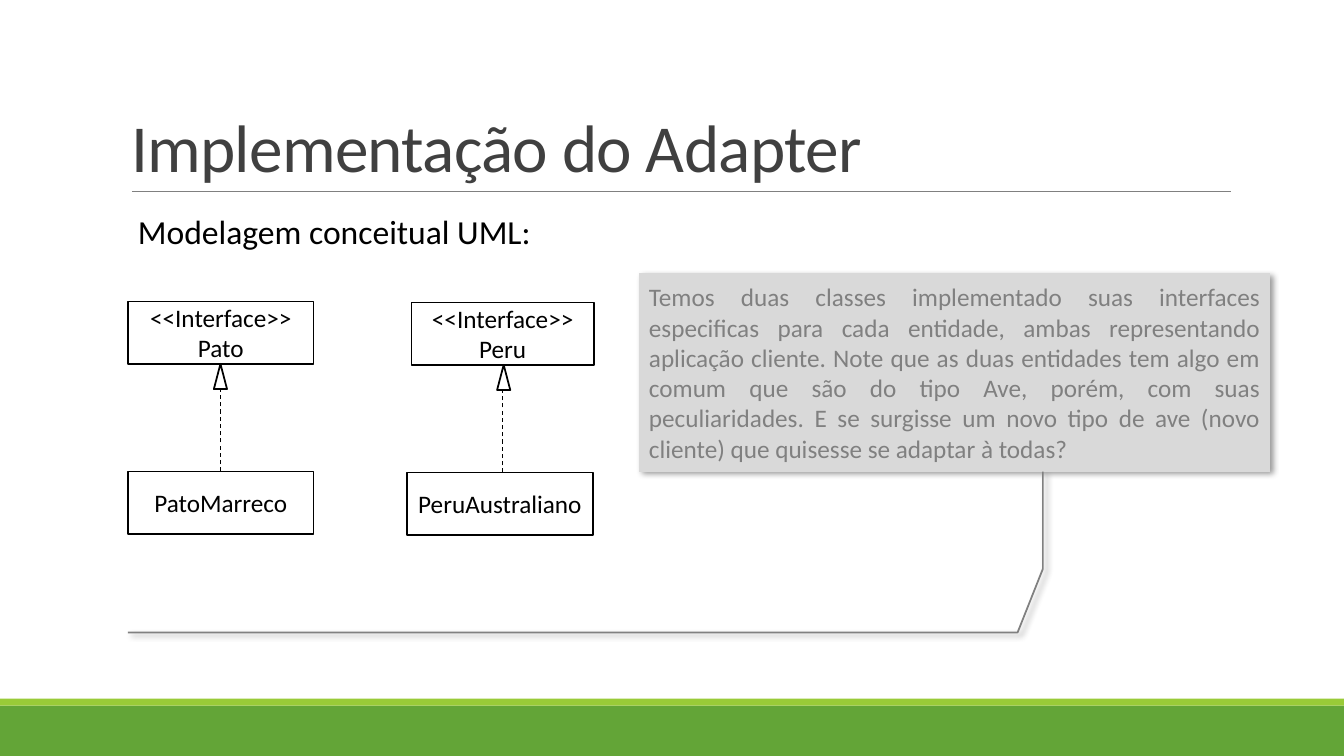
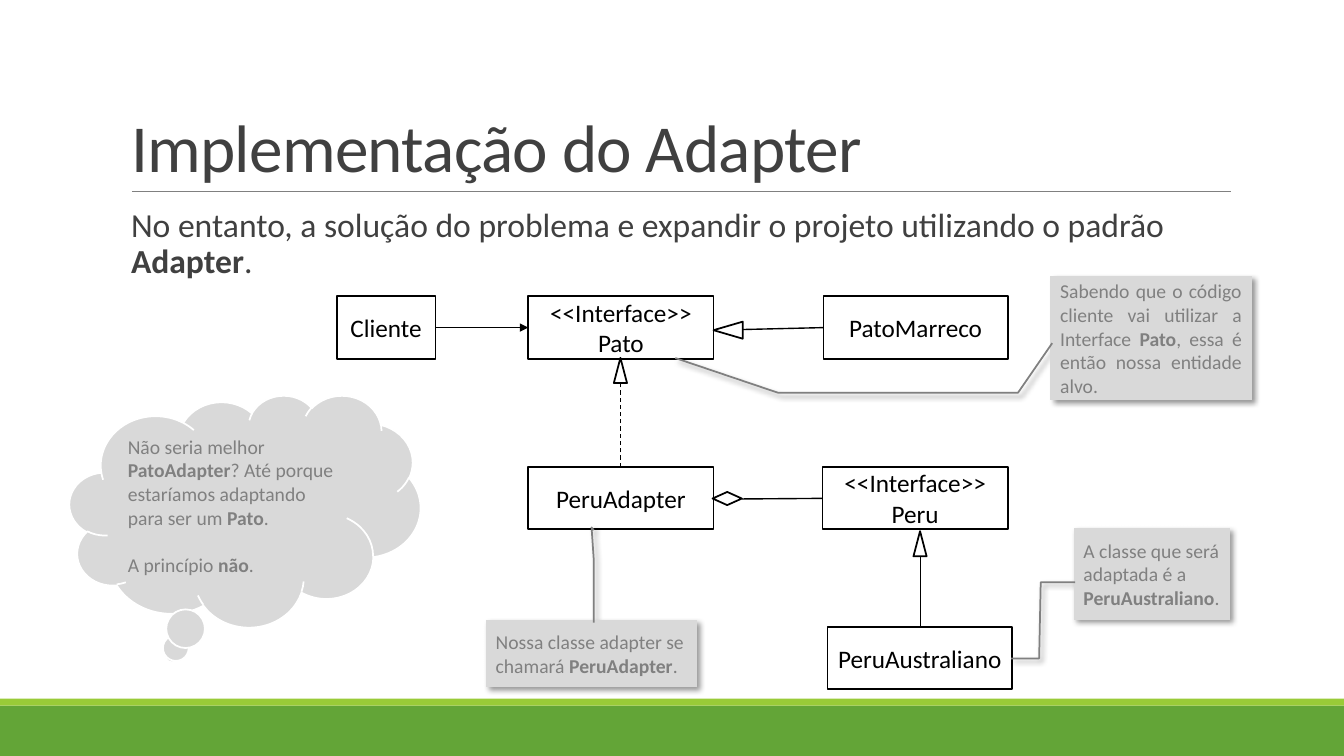
from lxml.etree import SubElement
from pptx import Presentation
from pptx.dml.color import RGBColor
from pptx.enum.dml import MSO_LINE
from pptx.enum.shapes import MSO_CONNECTOR, MSO_SHAPE
from pptx.enum.text import MSO_ANCHOR as ANCHOR, MSO_AUTO_SIZE as FIT, PP_ALIGN as ALIGN
from pptx.oxml.ns import qn
from pptx.util import Pt

COLORS = {"band": "63A537", "strip": "99CB38", "title": "404040", "gray": "808080",
          "note": "D9D9D9", "black": "000000", "white": "FFFFFF"}
RGB = {name: RGBColor.from_string(value) for name, value in COLORS.items()}
FONT = "Calibri"


def write(frame, lines, size, color, align=None):
    """Fill a frame, one paragraph per line; ** marks bold parts."""
    frame.word_wrap = True
    for number, line in enumerate(lines):
        para = frame.paragraphs[0] if number == 0 else frame.add_paragraph()
        para.alignment = align
        for index, part in enumerate(line.split("**")):
            span = para.add_run()
            span.text = part
            span.font.name = FONT
            span.font.size = Pt(size)
            span.font.bold = index % 2 == 1
            span.font.color.rgb = RGB[color]


def add_box(page, kind, place, fill, line=None):
    """Add a flat shape, with an outline if a line colour is given."""
    box = page.shapes.add_shape(kind, *map(Pt, place))
    box.shadow.inherit = False
    box.fill.solid()
    box.fill.fore_color.rgb = RGB[fill]
    if line:
        box.line.color.rgb = RGB[line]
        box.line.width = Pt(1.25)
    else:
        box.line.fill.background()
    box.text_frame.vertical_anchor = ANCHOR.MIDDLE
    return box


TRIANGLE, DIAMOND = MSO_SHAPE.ISOSCELES_TRIANGLE, MSO_SHAPE.FLOWCHART_DECISION
RULE = (94.3, 136.8, 879.1, 136.8, "gray", 0.5, None)

# Diagram parts: nodes (place, lines), links (from, to, colour, width, style),
# heads (kind, place, rotation), notes (place, bends, size, alignment, text)
DIAGRAMS = [
    {
        "layout": 5,
        "nodes": [
            ((91.5, 215.3, 132.5, 44.6), ["<<Interface>>", "Pato"]),
            ((293.9, 216, 130.3, 44.6), ["<<Interface>>", "Peru"]),
            ((91.5, 336.7, 132.5, 44.6), ["PatoMarreco"]),
            ((290.9, 337.5, 132.5, 44.6), ["PeruAustraliano"]),
        ],
        "links": [
            (157.6, 336.7, 157.6, 259.9, "black", 0.75, "dash"),
            (359.1, 337.5, 359.1, 260.6, "black", 0.75, "dash"),
        ],
        "heads": [
            (TRIANGLE, (152.8, 259.9, 9.4, 18), 0),
            (TRIANGLE, (355.1, 260.6, 9.4, 18), 0),
        ],
        "notes": [
            ((456.5, 195.1, 450.7, 141.8),
             (1.81, -0.81, 1.81, 0.6, 1.49, 0.64, 1, 0.64), 18, ALIGN.JUSTIFY,
             "Temos duas classes implementado suas interfaces especificas para cada "
             "entidade, ambas representando aplicação cliente. Note que as duas entidades "
             "tem algo em comum que são do tipo Ave, porém, com suas peculiaridades. E se "
             "surgisse um novo tipo de ave (novo cliente) que quisesse se adaptar à todas?"),
        ],
    },
    {
        "layout": 1,
        "nodes": [
            ((377.3, 211.7, 132.5, 44.6), ["<<Interface>>", "Pato"]),
            ((240.5, 211.7, 70.6, 44.6), ["Cliente"]),
            ((377.3, 333.4, 132.5, 44.6), ["PeruAdapter"]),
            ((591.1, 447.8, 131.8, 44.6), ["PeruAustraliano"]),
            ((587.5, 333.4, 132.5, 44.6), ["<<Interface>>", "Peru"]),
            ((588.2, 211.7, 131.8, 44.6), ["PatoMarreco"]),
        ],
        "links": [
            (443.5, 333.4, 443.5, 255.6, "black", 0.75, "dash"),
            (311, 234, 377.3, 234, "black", 1, "arrow"),
            (530, 356.4, 587.5, 356, "black", 1, None),
            (657.4, 447.8, 657.4, 397.4, "black", 1, None),
            (588.2, 234, 530, 235.4, "black", 1, None),
        ],
        "heads": [
            (TRIANGLE, (438.5, 255.6, 9.4, 18), 0),
            (DIAMOND, (509, 351.4, 20.9, 9.4), 0),
            (TRIANGLE, (652.5, 379.4, 9.4, 18), 0),
            (TRIANGLE, (514, 225.4, 12.2, 20.9), 270),
        ],
        "notes": [
            ((750.2, 197.3, 144, 88.6),
             (0.66, -1.86, 0.94, -1.35, 0.94, -0.16, 0.54, 0.01), 14, ALIGN.JUSTIFY,
             "Sabendo que o código cliente vai utilizar a Interface **Pato**, essa é "
             "então nossa entidade alvo."),
            ((766.8, 377.3, 111.6, 65.5),
             (1.42, -0.4, 1.42, -0.22, 0.59, -0.21, 0.59, 0.01), 14, ALIGN.LEFT,
             "A classe que será adaptada é a **PeruAustraliano**."),
            ((347, 442.8, 151.2, 48.2),
             (-1.33, 0.51, -1.37, 0.5, -0.91, 0.51, 0.04, 0.51), 14, ALIGN.LEFT,
             "Nossa classe adapter se chamará **PeruAdapter**."),
        ],
    },
]

deck = Presentation()
deck.slide_width, deck.slide_height = Pt(960), Pt(540)

for diagram in DIAGRAMS:
    page = deck.slides.add_slide(deck.slide_layouts[diagram["layout"]])

    # Bands at the foot
    add_box(page, MSO_SHAPE.RECTANGLE, (0, 504, 960, 36), "band")
    add_box(page, MSO_SHAPE.RECTANGLE, (0, 499, 960, 5), "strip")

    # Title
    title = page.shapes.title
    title.left, title.top, title.width, title.height = map(Pt, (86.4, 22.3, 792, 114.5))
    frame = title.text_frame
    frame.auto_size = FIT.NONE
    frame.vertical_anchor = ANCHOR.BOTTOM
    write(frame, ["Implementação do Adapter"], 48, "title", ALIGN.LEFT)
    frame.paragraphs[0].line_spacing = 0.85
    title.element.find(".//" + qn("a:rPr")).set("spc", "-50")

    # Title rule and links
    for x1, y1, x2, y2, color, width, style in [RULE] + diagram["links"]:
        link = page.shapes.add_connector(MSO_CONNECTOR.STRAIGHT, *map(Pt, (x1, y1, x2, y2)))
        link.line.color.rgb = RGB[color]
        link.line.width = Pt(width)
        properties = link.element.spPr
        if style == "dash":
            link.line.dash_style = MSO_LINE.DASH
        elif style == "arrow":
            SubElement(properties.find(qn("a:ln")), qn("a:tailEnd"), type="triangle")
        SubElement(properties, qn("a:effectLst"))

    # Classes and interfaces
    for place, lines in diagram["nodes"]:
        node = add_box(page, MSO_SHAPE.RECTANGLE, place, "white", "black")
        write(node.text_frame, lines, 18, "black", ALIGN.CENTER)

    # UML heads
    for kind, place, rotation in diagram["heads"]:
        add_box(page, kind, place, "white", "black").rotation = rotation

    # Notes with a bent leader and a soft shadow
    for place, bends, size, align, text in diagram["notes"]:
        note = add_box(page, MSO_SHAPE.LINE_CALLOUT_3_NO_BORDER, place, "note", "gray")
        for index, bend in enumerate(bends):
            note.adjustments[index] = bend
        write(note.text_frame, [text], size, "gray", align)
        effects = note.element.spPr.find(qn("a:effectLst"))
        shadow = SubElement(effects, qn("a:outerShdw"), blurRad=str(Pt(4)),
                            dist=str(Pt(3)), dir="2700000", algn="tl", rotWithShape="0")
        shade = SubElement(shadow, qn("a:srgbClr"), val=COLORS["black"])
        SubElement(shade, qn("a:alpha"), val="40000")

first, second = deck.slides

# Slide 1: heading of the model
heading = first.shapes.add_textbox(*map(Pt, (91.4, 146.9, 303, 36)))
write(heading.text_frame, ["Modelagem conceitual UML:"], 24, "black")

# Slide 2: introduction
body = second.placeholders[1]
body.left, body.top, body.width, body.height = map(Pt, (86.4, 145.4, 792, 316.8))
frame = body.text_frame
frame.auto_size = FIT.NONE
frame.margin_left = frame.margin_right = 0
write(frame, ["No entanto, a solução do problema e expandir o projeto utilizando o padrão "
              "**Adapter**."], 24, "title", ALIGN.LEFT)
para = frame.paragraphs[0]
para.line_spacing, para.space_before, para.space_after = 0.9, Pt(12), Pt(2)
settings = body.element.find(".//" + qn("a:pPr"))
settings.set("marL", str(Pt(7.2)))
settings.set("indent", str(-Pt(7.2)))
SubElement(SubElement(settings, qn("a:buClr")), qn("a:srgbClr"), val=COLORS["strip"])
SubElement(settings, qn("a:buChar"), char=" ")

# Slide 2: thought cloud
cloud = add_box(second, MSO_SHAPE.CLOUD_CALLOUT, (49.7, 282.2, 250.6, 165.6), "note", "white")
write(cloud.text_frame,
      ["Não seria melhor **PatoAdapter**? Até porque estaríamos adaptando para ser um **Pato**.",
       "A princípio **não**."], 14, "gray", ALIGN.LEFT)
cloud.text_frame.paragraphs[1].space_before = Pt(17)

deck.save("out.pptx")
